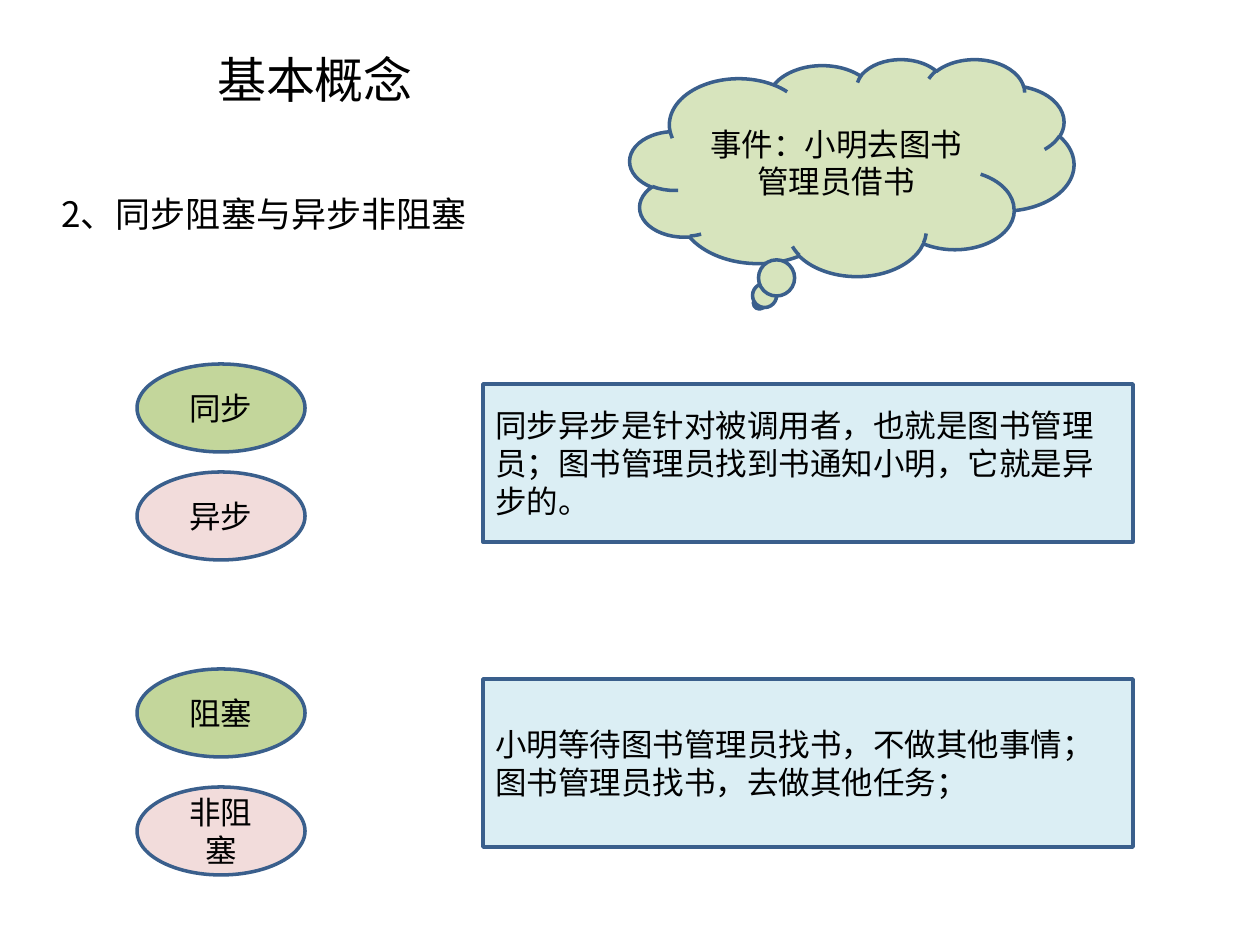
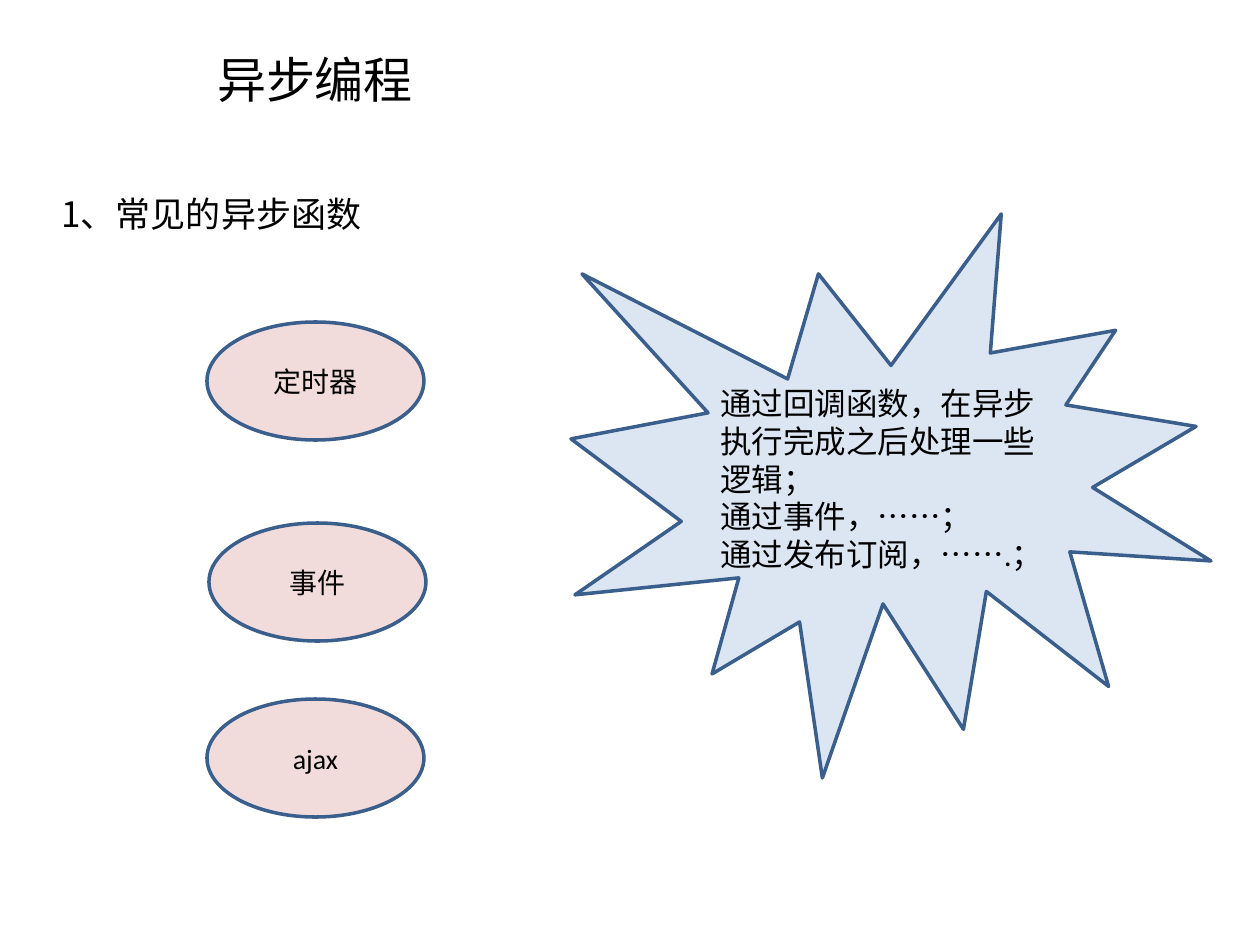
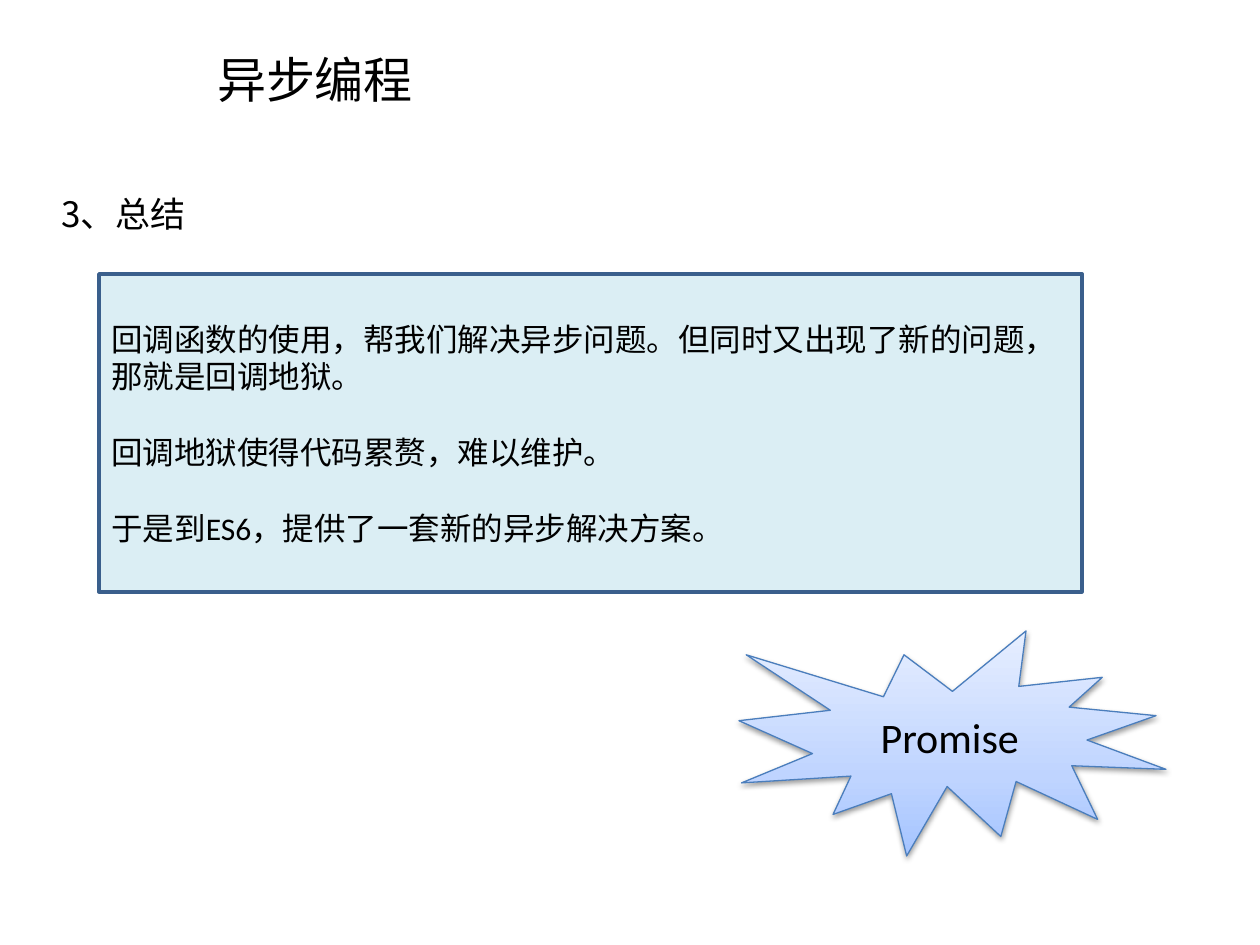
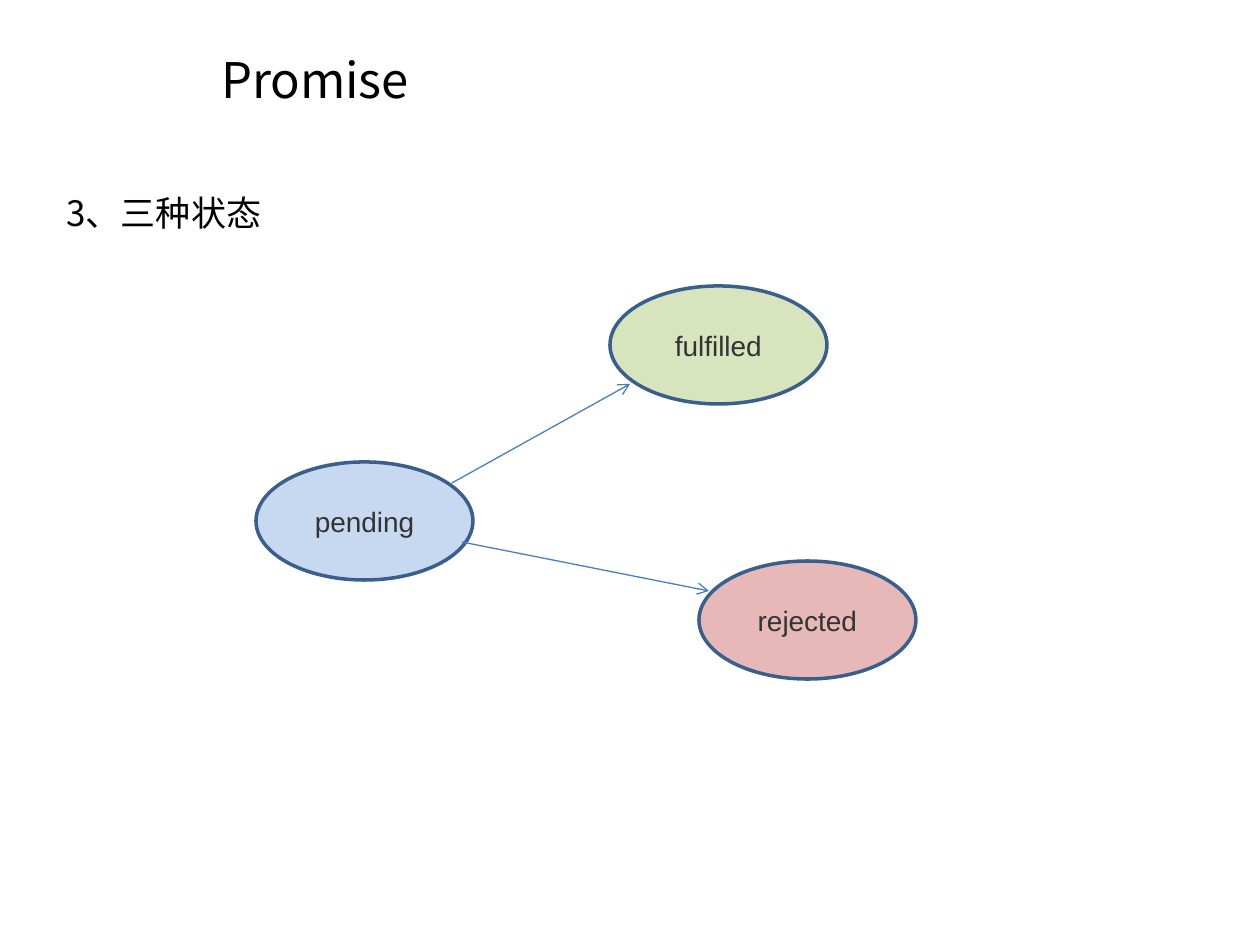
from lxml import etree
from pptx import Presentation
from pptx import util as u
from pptx.dml.color import RGBColor
from pptx.enum import shapes, text
from pptx.oxml.ns import qn

PX = 914400 / 126
SLIDE_BOX = (0, 0, 1260, 945)
SMALL_OVAL = (168, 88)
LARGE_OVAL = (217, 118)
CJK, LATIN, STATE = "Noto Sans CJK SC", "Calibri", "Arial"
COLORS = {
    "text": "000000", "state_text": "333333",
    "outline": "3A5F8C", "thin": "4B7EBC",
    "green": "C3D69B", "pale_green": "D7E4BD",
    "pink": "F2DCDB", "red": "E6B9B8", "blue": "C6D9F1",
    "panel": "DBEEF4", "burst": "DCE6F2",
    "deep_sky": "A4C4FF", "sky": "BFD4FF", "light_sky": "E6EEFF",
}
SHAPE = shapes.MSO_SHAPE
LEFT, CENTER = text.PP_ALIGN.LEFT, text.PP_ALIGN.CENTER


def px(length):
    return u.Emu(round(length * PX))


def rgb(name):
    return RGBColor.from_string(COLORS[name])


def inside(box, left, top, width, height):
    """Shift a rectangle given relative to box into slide coordinates."""
    return box[0] + left, box[1] + top, width, height


def add_xml(parent, tag, **attributes):
    return etree.SubElement(parent, qn(tag), attributes)


def write(frame, lines, size, font=LATIN, color="text", align=LEFT, gap=0):
    """Fill a text frame with one paragraph per line, gap points apart."""
    frame.word_wrap = True
    for index, line in enumerate(lines):
        paragraph = frame.paragraphs[0] if index == 0 else frame.add_paragraph()
        paragraph.alignment = align
        if index and gap:
            paragraph.space_before = u.Pt(gap)
        run = paragraph.add_run()
        run.text = line
        run.font.size = u.Pt(size)
        run.font.name = font
        run.font.color.rgb = rgb(color)
        add_xml(run.font._element, "a:ea", typeface=CJK)


def add_text(slide, box, line, size, align=LEFT):
    textbox = slide.shapes.add_textbox(*map(px, box))
    write(textbox.text_frame, [line], size, CJK, align=align)
    return textbox.text_frame


def add_figure(slide, kind, box, fill, lines, size=18, **style):
    figure = slide.shapes.add_shape(kind, *map(px, box))
    figure.shadow.inherit = False
    figure.fill.solid()
    figure.fill.fore_color.rgb = rgb(fill)
    figure.line.color.rgb = rgb("outline")
    figure.line.width = u.Pt(2)
    figure.text_frame.vertical_anchor = text.MSO_ANCHOR.MIDDLE
    write(figure.text_frame, lines, size, **style)
    return figure


def add_oval(slide, box, left, top, size, fill, label, points, **style):
    add_figure(slide, SHAPE.OVAL, inside(box, left, top, *size), fill, [label],
               points, align=CENTER, **style)


def add_arrow(slide, box, start, end):
    ends = [px(box[i % 2] + value) for i, value in enumerate((*start, *end))]
    arrow = slide.shapes.add_connector(shapes.MSO_CONNECTOR.STRAIGHT, *ends)
    arrow.line.color.rgb = rgb("thin")
    arrow.line.width = u.Pt(0.75)
    add_xml(arrow.line._get_or_add_ln(), "a:tailEnd", type="arrow")
    add_xml(arrow._element.spPr, "a:effectLst")


def add_headings(slide, box, title, subtitle, at=(49, 186), width=462):
    frame = add_text(slide, inside(box, 39, 10, 552, 79), title, 28, CENTER)
    frame.vertical_anchor = text.MSO_ANCHOR.MIDDLE
    paragraph = frame.paragraphs[0]
    paragraph.line_spacing = 2.0
    properties = paragraph._p.get_or_add_pPr()
    properties.set("marL", str(u.Inches(0.5)))
    properties.set("indent", str(u.Inches(-0.5)))
    add_text(slide, inside(box, *at, width, 131), subtitle, 20)


def add_glow(figure):
    """Give a figure the vertical sky gradient, a thin line and a soft shadow."""
    figure.fill.gradient()
    figure.fill.gradient_angle = 90
    properties = figure._element.spPr
    stops = properties.find(".//" + qn("a:gsLst"))
    for stop in list(stops):
        stops.remove(stop)
    for position, color in ((0, "deep_sky"), (35, "sky"), (100, "light_sky")):
        stop = add_xml(stops, "a:gs", pos=str(position * 1000))
        add_xml(stop, "a:srgbClr", val=COLORS[color])
    figure.line.color.rgb = rgb("thin")
    figure.line.width = u.Pt(0.75)
    shadow = add_xml(properties.find(qn("a:effectLst")), "a:outerShdw",
                     blurRad="40000", dist="20000", dir="5400000", rotWithShape="0")
    shade = add_xml(shadow, "a:srgbClr", val=COLORS["text"])
    add_xml(shade, "a:alpha", val="38000")


def add_contrast(slide, box, labels, second_top, panel_top, panel_height, lines):
    """A pair of opposite terms with their explanation on the right."""
    for label, top, fill in zip(labels, (0, second_top), ("green", "pink")):
        add_oval(slide, box, 0, top, SMALL_OVAL, fill, label, 18)
    add_figure(slide, SHAPE.RECTANGLE, inside(box, 346, panel_top, 650, panel_height),
               "panel", lines)


def concepts_slide(slide, box):
    add_headings(slide, box, "基本概念", "2、同步阻塞与异步非阻塞", width=1211)
    add_figure(slide, SHAPE.CLOUD_CALLOUT, inside(box, 630, 59, 444, 217), "pale_green",
               ["事件：小明去图书管理员借书"], align=CENTER)
    add_contrast(slide, inside(box, 137, 364, 996, 197), ("同步", "异步"), 108, 20, 158,
                 ["同步异步是针对被调用者，也就是图书管理员；图书管理员找到书通知小明，它就是异步的。"])
    add_contrast(slide, inside(box, 137, 669, 996, 207), ("阻塞", "非阻塞"), 118, 10, 168,
                 ["小明等待图书管理员找书，不做其他事情；", "图书管理员找书，去做其他任务；"])


def functions_slide(slide, box):
    add_headings(slide, box, "异步编程", "1、常见的异步函数")
    for label, left, top in (("定时器", 207, 322), ("事件", 209, 523), ("ajax", 207, 699)):
        add_oval(slide, box, left, top, LARGE_OVAL, "pink", label, 16)
    add_figure(slide, SHAPE.EXPLOSION1, inside(box, 571, 214, 640, 564), "burst",
               ["通过回调函数，在异步执行完成之后处理一些逻辑；", "通过事件，……；",
                "通过发布订阅，…….；"])


def summary_slide(slide, box):
    add_headings(slide, box, "异步编程", "3、总结")
    add_figure(slide, SHAPE.RECTANGLE, inside(box, 99, 274, 983, 318), "panel",
               ["回调函数的使用，帮我们解决异步问题。但同时又出现了新的问题，那就是回调地狱。",
                "回调地狱使得代码累赘，难以维护。",
                "于是到ES6，提供了一套新的异步解决方案。"], gap=21.6)
    promise = add_figure(slide, SHAPE.EXPLOSION1, inside(box, 739, 631, 427, 225),
                         "sky", ["Promise"], 24, align=CENTER)
    add_glow(promise)


def states_slide(slide, box):
    add_headings(slide, box, "Promise", "3、三种状态", at=(54, 185))
    for state, left, top, fill in (("rejected", 699, 561, "red"),
                                   ("pending", 256, 462, "blue"),
                                   ("fulfilled", 610, 286, "pale_green")):
        add_oval(slide, box, left, top, LARGE_OVAL, fill, state, 16,
                 font=STATE, color="state_text")
    add_arrow(slide, box, (452, 483), (630, 384))
    add_arrow(slide, box, (462, 542), (709, 591))


def main():
    deck = Presentation()
    deck.slide_width, deck.slide_height = map(px, SLIDE_BOX[2:])
    for build in (concepts_slide, functions_slide, summary_slide, states_slide):
        build(deck.slides.add_slide(deck.slide_layouts[6]), SLIDE_BOX)
    deck.save("out.pptx")


if __name__ == "__main__":
    main()
